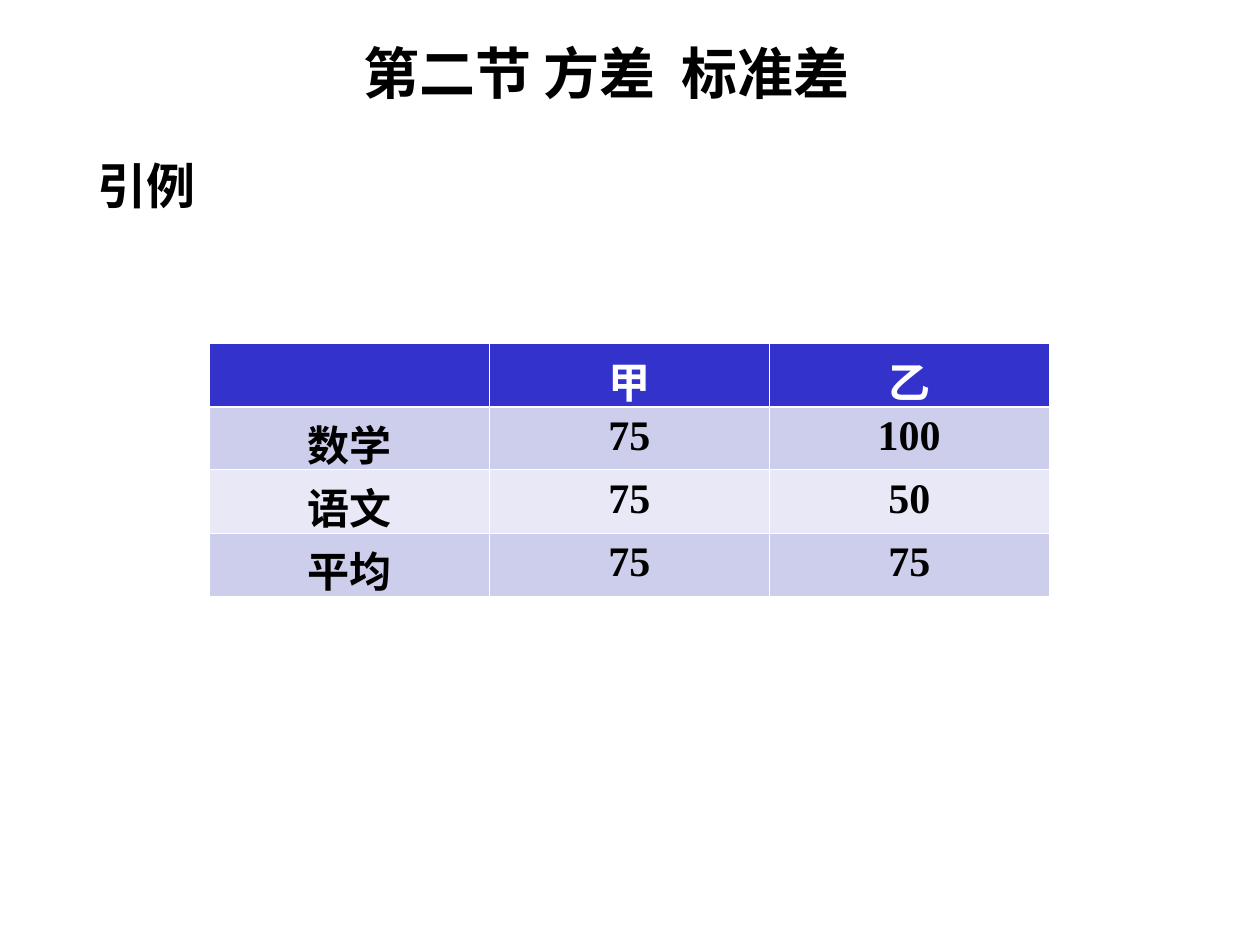
from lxml.etree import SubElement as Sub
from pptx import Presentation as Deck
from pptx.dml.color import RGBColor as Rgb
from pptx.enum.text import MSO_ANCHOR as Anchor, MSO_AUTO_SIZE as Fit, PP_ALIGN as Align
from pptx.oxml.ns import qn
from pptx.util import Pt

HUES = {"ink": "000000", "white": "FFFFFF", "head": "3333CC", "odd": "CDCDEC", "even": "E8E8F6"}
FONT = "Times New Roman"


class Page:
    """Draw styled text and tables on one slide."""

    def __init__(self, slide):
        self.slide = slide

    def style(self, para, size, hue="ink"):
        font = para.font
        font.name, font.size, font.bold = FONT, Pt(size), True
        font.color.rgb = Rgb.from_string(HUES[hue])

    def text(self, words, left, top, width, height, size):
        box = self.slide.shapes.add_textbox(Pt(left), Pt(top), Pt(width), Pt(height))
        frame = box.text_frame
        frame.word_wrap = False
        frame.auto_size = Fit.SHAPE_TO_FIT_TEXT
        frame.vertical_anchor = Anchor.MIDDLE
        para = frame.paragraphs[0]
        para.text = words
        self.style(para, size)

    def edge(self, cell, side, width):
        props = cell._tc.get_or_add_tcPr()
        line = Sub(props, qn(f"a:ln{side}"), w=str(Pt(width)))
        Sub(Sub(line, qn("a:solidFill")), qn("a:srgbClr"), val=HUES["white"])

    def table(self, rows, left, top, width, height, size):
        shape = self.slide.shapes.add_table(
            len(rows), len(rows[0]), Pt(left), Pt(top), Pt(width), Pt(height))
        for r, row in enumerate(rows):
            back = "odd" if r % 2 else "even" if r else "head"
            for c, words in enumerate(row):
                cell = shape.table.cell(r, c)
                for side in "LRTB":
                    thick = (r, side) in ((0, "B"), (1, "T"))
                    self.edge(cell, side, 1.47 if thick else 0.45)
                cell.fill.solid()
                cell.fill.fore_color.rgb = Rgb.from_string(HUES[back])
                para = cell.text_frame.paragraphs[0]
                para.text = words
                para.alignment = Align.CENTER
                self.style(para, size, "ink" if r else "white")


def main():
    deck = Deck()
    deck.slide_width, deck.slide_height = Pt(720), Pt(540)
    page = Page(deck.slides.add_slide(deck.slide_layouts[6]))
    page.text("第二节 方差  标准差", 200.5, 18, 296, 46, 32)
    page.text("引例", 48.75, 85, 72, 41, 28)
    marks = [
        ("", "甲", "乙"),
        ("数学", "75", "100"),
        ("语文", "75", "50"),
        ("平均", "75", "75"),
    ]
    page.table(marks, 119.6, 196.4, 480, 144, 24)
    deck.save("out.pptx")


if __name__ == "__main__":
    main()
